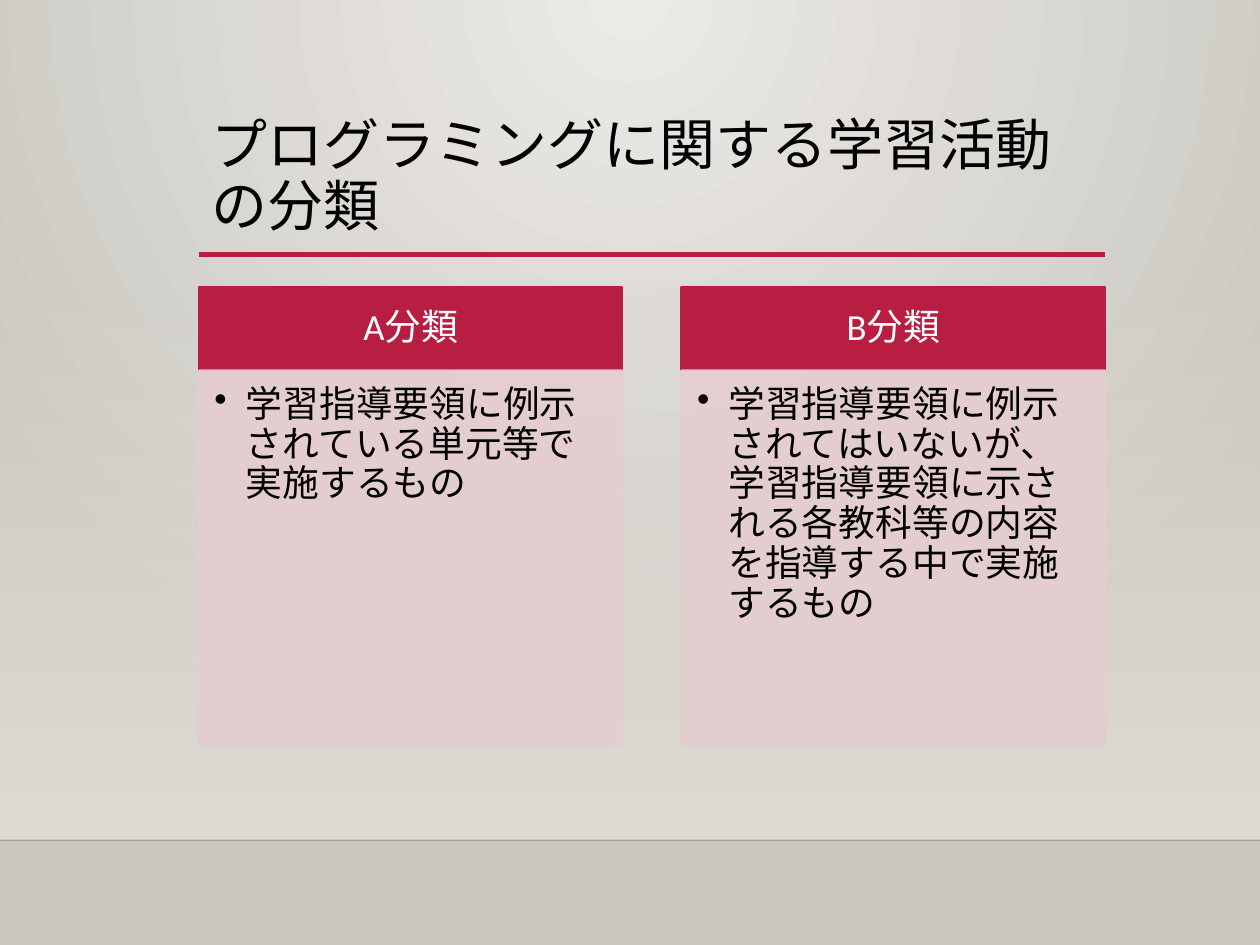
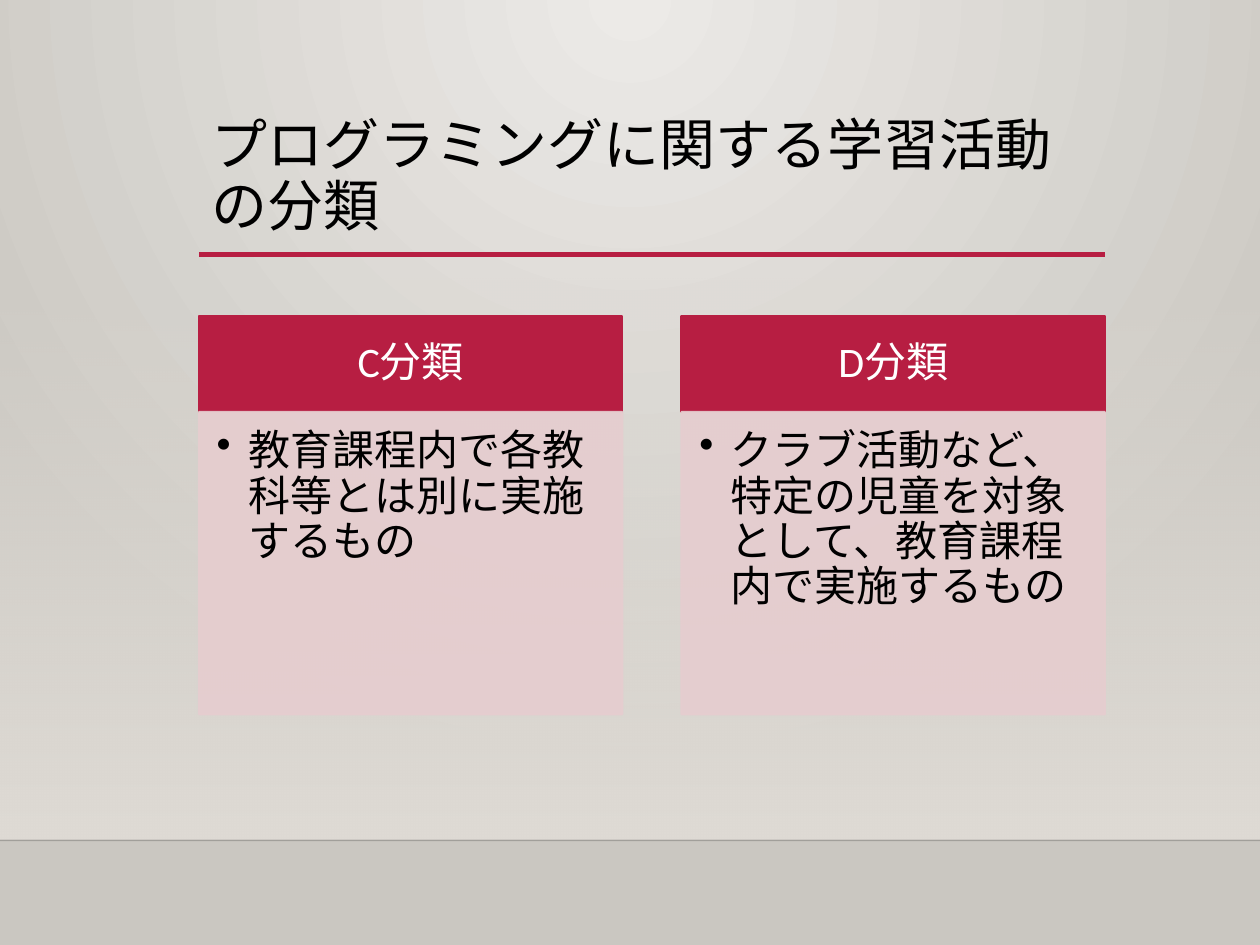
from lxml import etree
from pptx import Presentation
from pptx.dml.color import RGBColor
from pptx.enum import shapes, text
from pptx.oxml import ns
from pptx.util import Inches, Pt

COLORS = {
    "glow": "ECEAE7", "wall": "CAC7C1", "haze": "DFDBD5", "floor_edge": "000001",
    "crimson": "B71E42", "pink": "E6CDCF", "ink": "000000", "white": "FFFFFF",
}
RGB = {name: RGBColor.from_string(value) for name, value in COLORS.items()}
FONT = "Calibri"
TITLE = "プログラミングに関する学習活動の分類"
LEFT, WIDTH = 1.58, 7.19
CARD_WIDTH = 3.36
CARD_STEP = WIDTH - CARD_WIDTH

# Each slide: text size, top, header height, body height, cards
SLIDES = [
    (21, 2.28, 0.66, 2.97, [
        ("A分類", "学習指導要領に例示されている単元等で実施するもの"),
        ("B分類", "学習指導要領に例示されてはいないが、学習指導要領に示される"
                  "各教科等の内容を指導する中で実施するもの"),
    ]),
    (24, 2.51, 0.76, 2.40, [
        ("C分類", "教育課程内で各教科等とは別に実施するもの"),
        ("D分類", "クラブ活動など、特定の児童を対象として、教育課程内で実施するもの"),
    ]),
]


def set_opacity(colors, percent):
    for color in colors:
        etree.SubElement(color, ns.qn("a:alpha"), val=str(percent * 1000))


def write(frame, words, size, color, insets, align=text.PP_ALIGN.LEFT,
          anchor=text.MSO_ANCHOR.TOP):
    frame.word_wrap = True
    frame.vertical_anchor = anchor
    (frame.margin_left, frame.margin_top,
     frame.margin_right, frame.margin_bottom) = [Inches(inset) for inset in insets]
    paragraph = frame.paragraphs[0]
    paragraph.text = words
    paragraph.alignment = align
    paragraph.line_spacing = 0.9
    paragraph.font.name = FONT
    paragraph.font.size = Pt(size)
    paragraph.font.color.rgb = RGB[color]
    latin = paragraph._p.xpath(".//a:defRPr/a:latin")[0]
    latin.addnext(latin.makeelement(ns.qn("a:ea"), {"typeface": FONT}))
    return paragraph


prs = Presentation()
prs.slide_width, prs.slide_height = Inches(10), Inches(7.5)

# Shared background: light falling from the top centre
master = prs.slide_master
backdrop = master.background.fill
backdrop.gradient()
for stop, name in zip(backdrop.gradient_stops, ("glow", "wall")):
    stop.color.rgb = RGB[name]
gradient = master.element.xpath("./p:cSld/p:bg//a:gradFill")[0]
gradient.remove(gradient.find(ns.qn("a:lin")))
circle = etree.SubElement(gradient, ns.qn("a:path"), path="circle")
etree.SubElement(circle, ns.qn("a:fillToRect"), l="43000", t="0", r="43000", b="100000")

for size, top, header_height, body_height, cards in SLIDES:
    slide = prs.slides.add_slide(prs.slide_layouts[6])

    # Haze that thickens towards the floor
    haze = slide.shapes.add_shape(shapes.MSO_SHAPE.RECTANGLE, 0, Inches(2.2),
                                  Inches(10), Inches(4.46))
    haze.shadow.inherit = False
    haze.line.fill.background()
    haze.fill.gradient()
    haze.fill.gradient_angle = 270
    for stop in haze.fill.gradient_stops:
        stop.color.rgb = RGB["haze"]
    set_opacity(haze._element.xpath("./p:spPr/a:gradFill//a:srgbClr")[:1], 0)

    # Floor edge and title rule
    for x, y, length, name, weight, opacity in [
        (0, 6.67, 10, "floor_edge", 1, 20),
        (LEFT, 2.02, WIDTH, "crimson", 2.5, 100),
    ]:
        rule = slide.shapes.add_connector(shapes.MSO_CONNECTOR.STRAIGHT, Inches(x), Inches(y),
                                          Inches(x + length), Inches(y))
        rule.line.color.rgb = RGB[name]
        rule.line.width = Pt(weight)
        set_opacity(rule._element.xpath("./p:spPr/a:ln//a:srgbClr"), opacity)
        etree.SubElement(rule._element.spPr, ns.qn("a:effectLst"))

    # Title
    title = slide.shapes.add_textbox(Inches(LEFT), Inches(0.88), Inches(WIDTH), Inches(1.15))
    write(title.text_frame, TITLE, 32, "ink", (0.1, 0.05, 0.1, 0.05))

    # Category cards, with insets in proportion to the text size
    em = size / 72
    for column, (category, description) in enumerate(cards):
        x = LEFT + column * CARD_STEP
        header, body = [
            slide.shapes.add_shape(shapes.MSO_SHAPE.RECTANGLE, Inches(x), Inches(y),
                                   Inches(CARD_WIDTH), Inches(height))
            for y, height in [(top, header_height), (top + header_height, body_height)]
        ]
        for panel, name, opacity in [(header, "crimson", 100), (body, "pink", 90)]:
            panel.shadow.inherit = False
            panel.fill.solid()
            panel.fill.fore_color.rgb = RGB[name]
            panel.line.color.rgb = RGB[name]
            panel.line.width = Pt(1.25)
            set_opacity(panel._element.xpath("./p:spPr//a:srgbClr"), opacity)

        write(header.text_frame, category, size, "white",
              (0.56 * em, 0.32 * em, 0.56 * em, 0.32 * em),
              text.PP_ALIGN.CENTER, text.MSO_ANCHOR.MIDDLE)
        item = write(body.text_frame, description, size, "ink",
                     (0.42 * em, 0.42 * em, 0.56 * em, 0.63 * em))
        properties = item._p.get_or_add_pPr()
        properties.set("marL", str(Inches(0.25)))
        properties.set("indent", str(-Inches(0.25)))
        bullet = properties.makeelement(ns.qn("a:buChar"), {"char": "•"})
        properties.find(ns.qn("a:defRPr")).addprevious(bullet)

prs.save("out.pptx")
